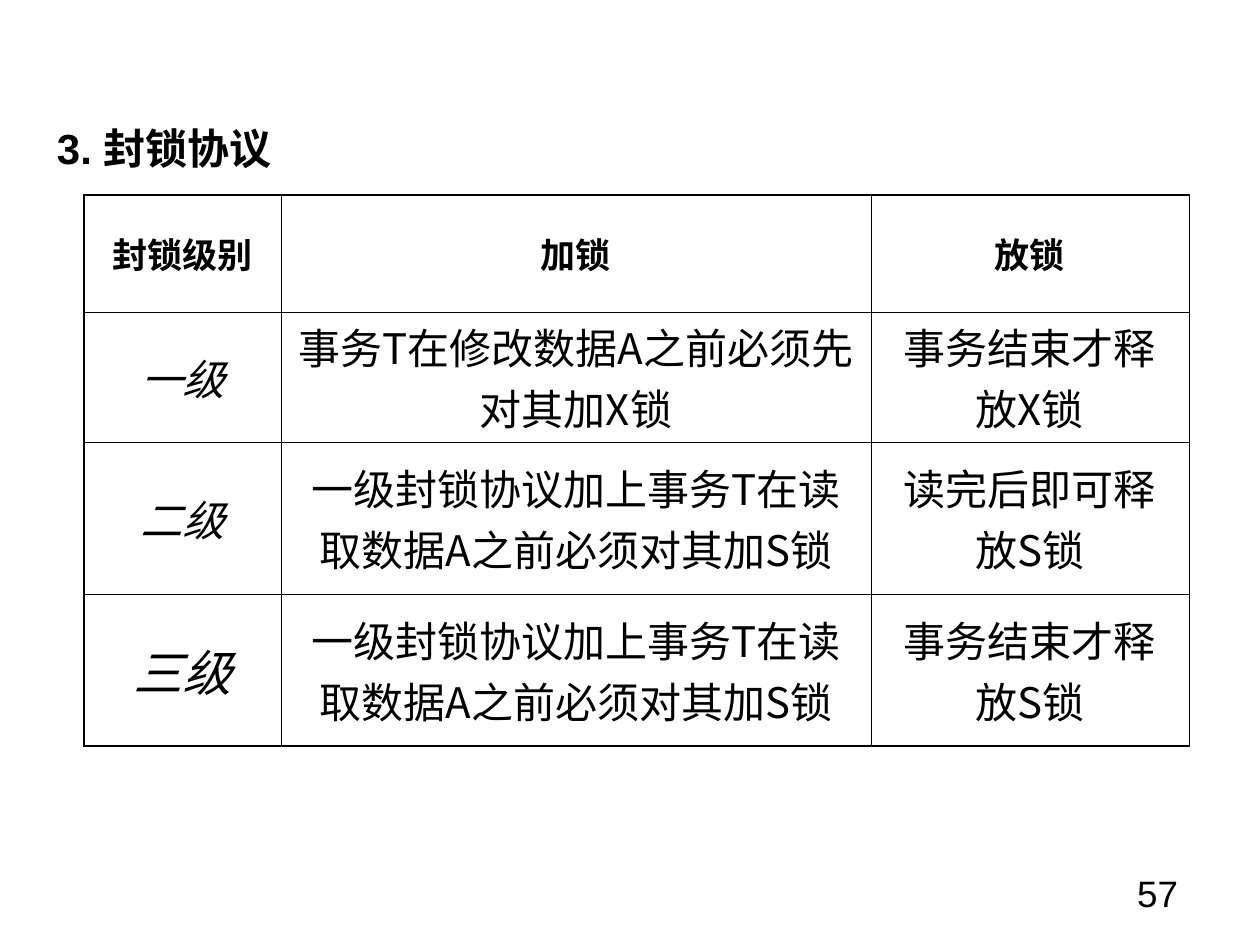
import pptx
import pptx.dml.color
import pptx.enum.text
import pptx.oxml
import pptx.oxml.ns
import pptx.util
from dataclasses import dataclass

SCALE = 914400 / 126
ALIGN = pptx.enum.text.PP_ALIGN
ANCHOR = pptx.enum.text.MSO_ANCHOR
FIT = pptx.enum.text.MSO_AUTO_SIZE
Pt = pptx.util.Pt


@dataclass(frozen=True)
class Theme:
    ink: str = "000000"
    paper: str = "FFFFFF"
    sans: str = "Arial"
    serif: str = "Times New Roman"
    han: str = "Noto Sans CJK SC"
    title: int = 24
    head: int = 20
    body: int = 24
    large: int = 28
    page: int = 21
    thin: float = 0.45
    thick: float = 1.08


THEME = Theme()
COLS = [197, 590, 318]
ROWS = [117, 130, 152, 152]
READ = "一级封锁协议加上事务T在读取数据A之前必须对其加S锁"
CELLS = [
    ["封锁级别", "加锁", "放锁"],
    ["一级", "事务T在修改数据A之前必须先对其加X锁", "事务结束才释放X锁"],
    ["二级", READ, "读完后即可释放S锁"],
    ["三级", READ, "事务结束才释放S锁"],
]


def px(num):
    return pptx.util.Emu(round(num * SCALE))


def rgb(code):
    return pptx.dml.color.RGBColor.from_string(code)


def apply(obj, values):
    for name, value in values.items():
        setattr(obj, name, value)


def write(frame, text, font, size, para, bold=False, italic=False):
    """Fill a frame with one paragraph in one style."""
    first = frame.paragraphs[0]
    apply(first, para)
    run = first.add_run()
    run.text = text
    apply(run.font, {"name": font, "size": Pt(size),
                     "bold": bold, "italic": italic})
    run.font.color.rgb = rgb(THEME.ink)
    east = pptx.oxml.parse_xml(
        f'<a:ea {pptx.oxml.ns.nsdecls("a")} typeface="{THEME.han}"/>')
    run.font._element.find(pptx.oxml.ns.qn("a:latin")).addnext(east)
    return first


def inset(obj, side, end):
    apply(obj, {"margin_left": px(side), "margin_right": px(side),
                "margin_top": px(end), "margin_bottom": px(end)})


def place(shape, left, top, width, height):
    apply(shape, {"left": px(left), "top": px(top),
                  "width": px(width), "height": px(height)})


def border(cell, sides):
    """Draw cell edges; sides maps L, R, T and B to widths in points."""
    props = cell._tc.get_or_add_tcPr()
    for side, width in sides.items():
        props.append(pptx.oxml.parse_xml(
            f'<a:ln{side} {pptx.oxml.ns.nsdecls("a")} w="{Pt(width)}">'
            f'<a:solidFill><a:srgbClr val="{THEME.ink}"/></a:solidFill>'
            f'</a:ln{side}>'))


def add_title(slide, text):
    shape = slide.shapes.title
    place(shape, 44, 106, 1150, 74)
    frame = shape.text_frame
    apply(frame, {"word_wrap": True, "vertical_anchor": ANCHOR.TOP,
                  "auto_size": FIT.SHAPE_TO_FIT_TEXT})
    inset(frame, 13, 6)
    first = write(frame, text, THEME.sans, THEME.title,
                  {"alignment": ALIGN.LEFT, "line_spacing": Pt(35)}, bold=True)
    props = first._p.get_or_add_pPr()
    props.set("marL", str(px(71)))
    props.set("indent", str(-px(71)))


def add_cell(cell, text, row, col):
    head, level = row == 0, row > 0 and col == 0
    last = row == len(ROWS) - 1
    size = THEME.head if head else THEME.large if level and last else THEME.body
    inset(cell, 13, 4)
    cell.vertical_anchor = ANCHOR.MIDDLE
    write(cell.text_frame, text, THEME.serif if head else THEME.han, size,
          {"alignment": ALIGN.CENTER, "space_before": Pt(size // 4)},
          bold=head, italic=level)
    border(cell, {"L": THEME.thin if col else THEME.thick,
                  "R": THEME.thin,
                  "T": THEME.thick if head else THEME.thin,
                  "B": THEME.thick if last else THEME.thin})
    cell.fill.solid()
    cell.fill.fore_color.rgb = rgb(THEME.paper)


def add_grid(slide):
    table = slide.shapes.add_table(
        len(ROWS), len(COLS), px(84), px(195),
        px(sum(COLS)), px(sum(ROWS))).table
    for col, width in zip(table.columns, COLS):
        col.width = px(width)
    for row, height in zip(table.rows, ROWS):
        row.height = px(height)
    for row, line in enumerate(CELLS):
        for col, text in enumerate(line):
            add_cell(table.cell(row, col), text, row, col)


def add_page(slide, text):
    box = slide.shapes.add_textbox(px(903), px(861), px(294), px(66))
    box.text_frame.word_wrap = True
    inset(box.text_frame, 19, 10)
    write(box.text_frame, text, THEME.sans, THEME.page,
          {"alignment": ALIGN.RIGHT})


def main():
    deck = pptx.Presentation()
    apply(deck, {"slide_width": px(1260), "slide_height": px(945)})
    slide = deck.slides.add_slide(deck.slide_layouts[5])
    add_title(slide, "3. 封锁协议")
    add_grid(slide)
    add_page(slide, "57")
    deck.save("out.pptx")


if __name__ == "__main__":
    main()
